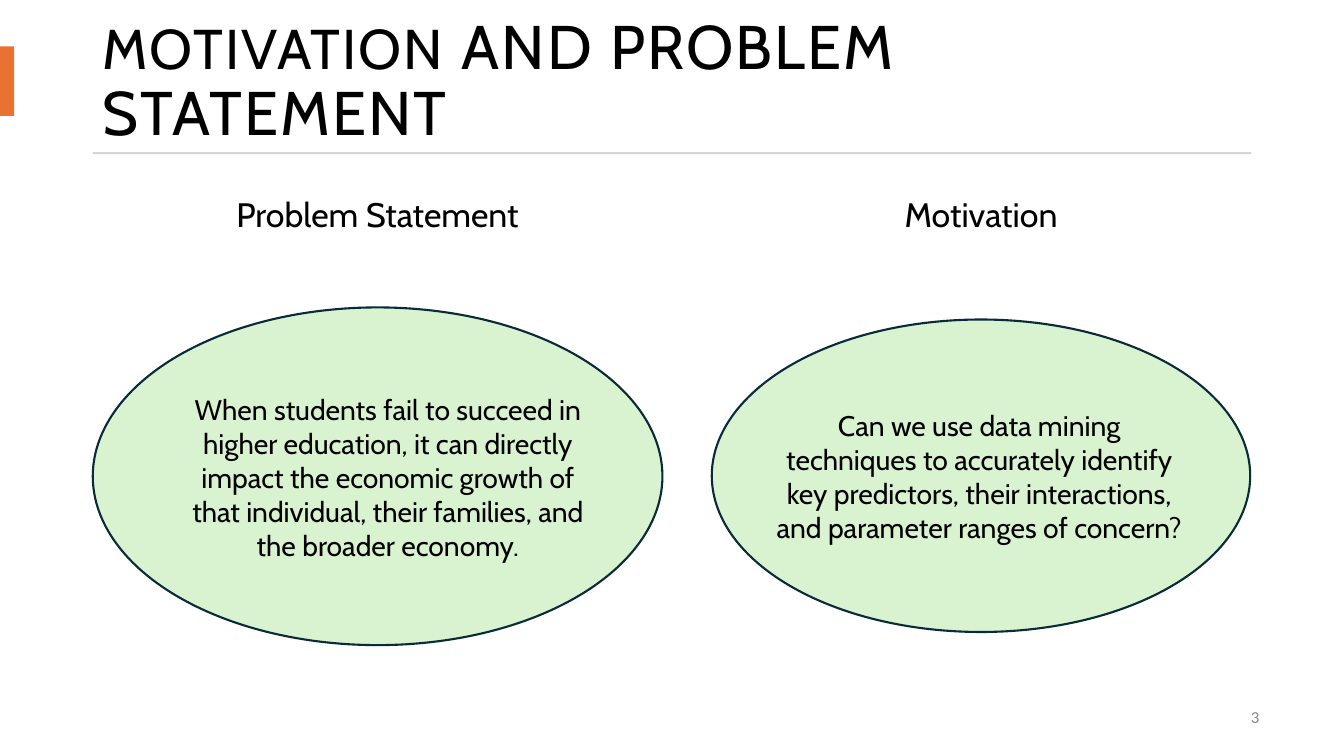
from pptx import Presentation
from pptx.dml.color import RGBColor
from pptx.enum.shapes import MSO_SHAPE
from pptx.enum.text import MSO_ANCHOR, PP_ALIGN
from pptx.util import Inches, Pt

BLACK = RGBColor(0x00, 0x00, 0x00)
GRAY = RGBColor(0x89, 0x89, 0x89)
RULE = RGBColor(0xD5, 0xD5, 0xD5)
ORANGE = RGBColor(0xE9, 0x71, 0x32)
GREEN = RGBColor(0xD9, 0xF2, 0xD0)
NAVY = RGBColor(0x09, 0x2A, 0x39)

PROBLEM = ("When students fail to succeed in higher education, it can directly "
           "impact the economic growth of that individual, their families, and "
           "the broader economy.")
QUESTION = ("Can we use data mining techniques to accurately identify key "
            "predictors, their interactions, and parameter ranges of concern?")


def add_text(slide, box, text, size, align=PP_ALIGN.CENTER,
             anchor=MSO_ANCHOR.TOP, font="Cabin", color=BLACK):
    frame = slide.shapes.add_textbox(*map(Inches, box)).text_frame
    frame.word_wrap = True
    frame.vertical_anchor = anchor
    para = frame.paragraphs[0]
    para.text = text
    para.alignment = align
    para.font.size = Pt(size)
    for run in para.runs:
        run.font.name = font
        run.font.size = Pt(size)
        run.font.color.rgb = color
    return para


def add_form(slide, kind, box, fill, line=None):
    form = slide.shapes.add_shape(kind, *map(Inches, box))
    form.shadow.inherit = False
    form.fill.solid()
    form.fill.fore_color.rgb = fill
    if line is None:
        form.line.fill.background()
    else:
        form.line.color.rgb = line
        form.line.width = Pt(1.5)


def add_header(slide, left, top, width, height):
    title = add_text(slide, (left, top, width, height), "MOTIVATION", 40,
                     PP_ALIGN.LEFT, MSO_ANCHOR.MIDDLE)
    title.line_spacing = 0.9
    rest = title.add_run()
    rest.text = " AND PROBLEM STATEMENT"
    rest.font.name = "Cabin"
    rest.font.size = Pt(44)
    rest.font.color.rgb = BLACK
    for run in title.runs:
        run.font._element.set("spc", "150")
    add_form(slide, MSO_SHAPE.RECTANGLE, (0, top + 0.19, 0.14, 0.69), ORANGE)
    add_form(slide, MSO_SHAPE.RECTANGLE, (left, top + 1.24, width, 0.02), RULE)


def add_topic(slide, left, top, width, height, shift, head, body):
    mid = left + width / 2
    label = add_text(slide, (mid - 2.18, 1.87, 4.36, 0.92), head, 24.2)
    add_form(slide, MSO_SHAPE.OVAL, (left, top, width, height), GREEN, NAVY)
    note = add_text(slide, (mid + shift - 2.12, top + height / 2 - 0.9, 4.24, 1.81),
                    body, 20.2, anchor=MSO_ANCHOR.MIDDLE)
    for para in (label, note):
        para.space_after = Pt(6)


def main():
    deck = Presentation()
    deck.slide_width = Inches(13.33)
    deck.slide_height = Inches(7.5)
    slide = deck.slides.add_slide(deck.slide_layouts[6])
    add_header(slide, 0.92, 0.27, 11.49, 1.1)
    add_topic(slide, 0.92, 3.05, 5.65, 3.35, 0.1, "Problem Statement", PROBLEM)
    add_topic(slide, 7.06, 3.17, 5.34, 3.1, -0.02, "Motivation", QUESTION)
    add_text(slide, (9.59, 6.96, 3, 0.3), "3", 12, PP_ALIGN.RIGHT,
             font="Calibri", color=GRAY)
    deck.save("out.pptx")


if __name__ == "__main__":
    main()
